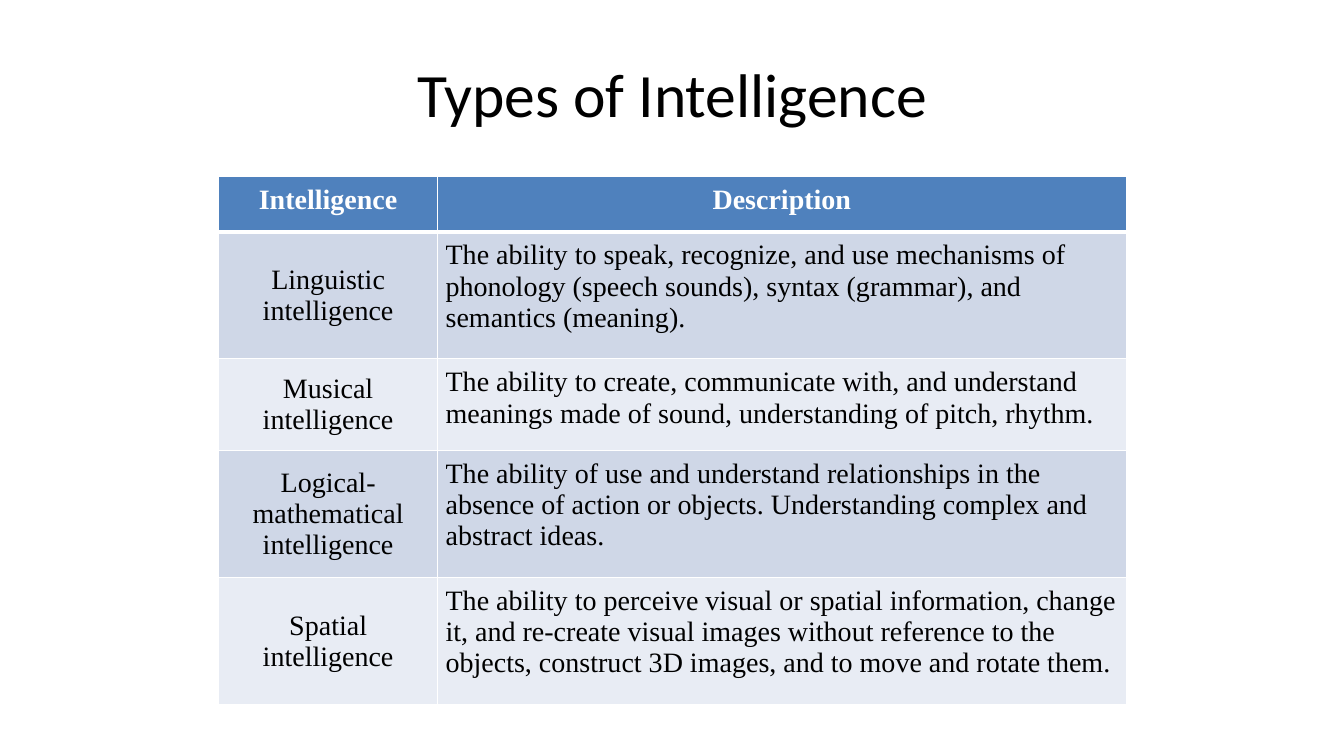
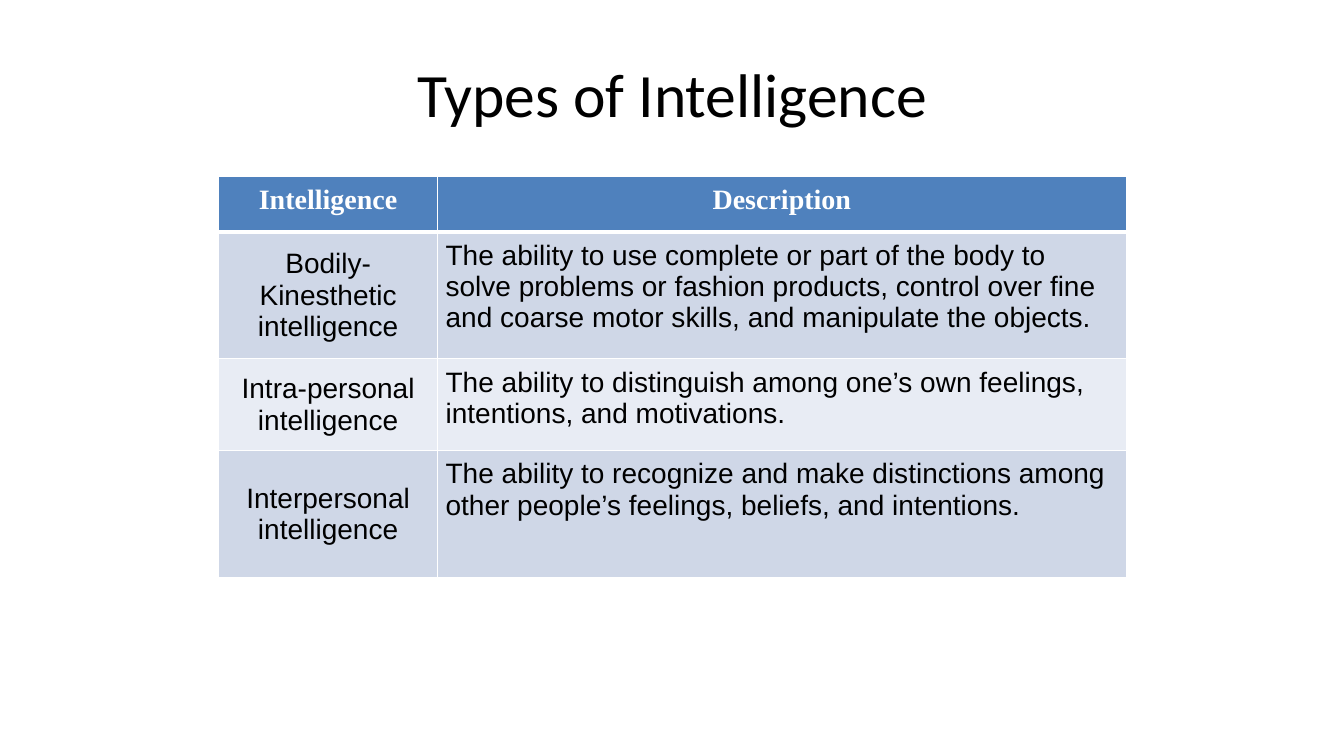
from lxml import etree
from pptx import Presentation
from pptx.dml.color import RGBColor
from pptx.enum.text import MSO_ANCHOR, PP_ALIGN
from pptx.oxml.ns import qn
from pptx.util import Inches, Pt

CENTER, LEFT = PP_ALIGN.CENTER, PP_ALIGN.LEFT
MIDDLE, TOP = MSO_ANCHOR.MIDDLE, MSO_ANCHOR.TOP

TITLE = "Types of Intelligence"
HEADER = ("Intelligence", "Description")
COL_WIDTHS = (2.17, 6.83)
HEADER_HEIGHT = 0.55

COGNITIVE = [
    (1.26, "Linguistic intelligence",
     "The ability to speak, recognize, and use mechanisms of phonology "
     "(speech sounds), syntax (grammar), and semantics (meaning)."),
    (0.91, "Musical intelligence",
     "The ability to create, communicate with, and understand meanings "
     "made of sound, understanding of pitch, rhythm."),
    (1.26, "Logical-mathematical intelligence",
     "The ability of use and understand relationships in the absence of "
     "action or objects. Understanding complex and abstract ideas."),
    (1.26, "Spatial intelligence",
     "The ability to perceive visual or spatial information, change it, "
     "and re-create visual images without reference to the objects, "
     "construct 3D images, and to move and rotate them."),
]
PERSONAL = [
    (1.26, "Bodily-Kinesthetic intelligence",
     "The ability to use complete or part of the body to solve problems "
     "or fashion products, control over fine and coarse motor skills, "
     "and manipulate the objects."),
    (0.91, "Intra-personal intelligence",
     "The ability to distinguish among one’s own feelings, intentions, "
     "and motivations."),
    (1.26, "Interpersonal intelligence",
     "The ability to recognize and make distinctions among other people’s "
     "feelings, beliefs, and intentions."),
]


def rgb(value):
    return RGBColor.from_string(value)


class Deck:
    BLACK, WHITE = "000000", "FFFFFF"
    ACCENT, BANDS = "4F81BD", ("CFD7E7", "E8ECF4")
    TITLE_FONT, HEADER_FONT = "Calibri", "Times New Roman"

    def __init__(self):
        self.prs = Presentation()
        self.prs.slide_width, self.prs.slide_height = Inches(13.33), Inches(7.5)
        self.s = None

    def slide(self, title):
        self.s = self.prs.slides.add_slide(self.prs.slide_layouts[5])
        sp = self.s.shapes.title
        sp.left, sp.top = Inches(0.67), Inches(0.3)
        sp.width, sp.height = Inches(12), Inches(1.25)
        tf = sp.text_frame
        tf.text = title
        tf.vertical_anchor = MIDDLE
        self.style(tf.paragraphs[0], self.TITLE_FONT, 44, self.BLACK, CENTER)

    def style(self, p, font, size, color, align, bold=False):
        p.alignment = align
        p.font.name, p.font.size, p.font.bold = font, Pt(size), bold
        p.font.color.rgb = rgb(color)

    def borders(self, cell, widths):
        tc_pr = cell._tc.get_or_add_tcPr()
        for side, width in widths.items():
            ln = etree.SubElement(tc_pr, qn(f"a:ln{side}"), w=str(Pt(width)))
            fill = etree.SubElement(ln, qn("a:solidFill"))
            etree.SubElement(fill, qn("a:srgbClr"), val=self.WHITE)

    def cell(self, cell, text, fill, font, color, align, anchor, bold, widths):
        cell.text = text
        cell.vertical_anchor = anchor
        cell.margin_left = cell.margin_right = Inches(0.08)
        cell.margin_top = cell.margin_bottom = Inches(0.08)
        self.borders(cell, widths)
        cell.fill.solid()
        cell.fill.fore_color.rgb = rgb(fill)
        self.style(cell.text_frame.paragraphs[0], font, 20, color, align, bold)

    def table(self, rows, body_font):
        heights = [HEADER_HEIGHT] + [row[0] for row in rows]
        table = self.s.shapes.add_table(
            len(heights), len(COL_WIDTHS), Inches(2.17), Inches(1.75),
            Inches(sum(COL_WIDTHS)), Inches(sum(heights))).table
        for column, width in zip(table.columns, COL_WIDTHS):
            column.width = Inches(width)
        for row, height in zip(table.rows, heights):
            row.height = Inches(height)
        for c, text in enumerate(HEADER):
            self.cell(table.cell(0, c), text, self.ACCENT, self.HEADER_FONT,
                      self.WHITE, CENTER, TOP, True,
                      {"L": 1, "R": 1, "T": 1, "B": 3})
        for r, (_, name, description) in enumerate(rows, 1):
            band = self.BANDS[(r - 1) % 2]
            widths = {"L": 1, "R": 1, "T": 3 if r == 1 else 1, "B": 1}
            self.cell(table.cell(r, 0), name, band, body_font,
                      self.BLACK, CENTER, MIDDLE, False, widths)
            self.cell(table.cell(r, 1), description, band, body_font,
                      self.BLACK, LEFT, TOP, False, widths)


def main():
    deck = Deck()
    for rows, font in ((COGNITIVE, "Times New Roman"), (PERSONAL, "Arial")):
        deck.slide(TITLE)
        deck.table(rows, font)
    deck.prs.save("out.pptx")


if __name__ == "__main__":
    main()
